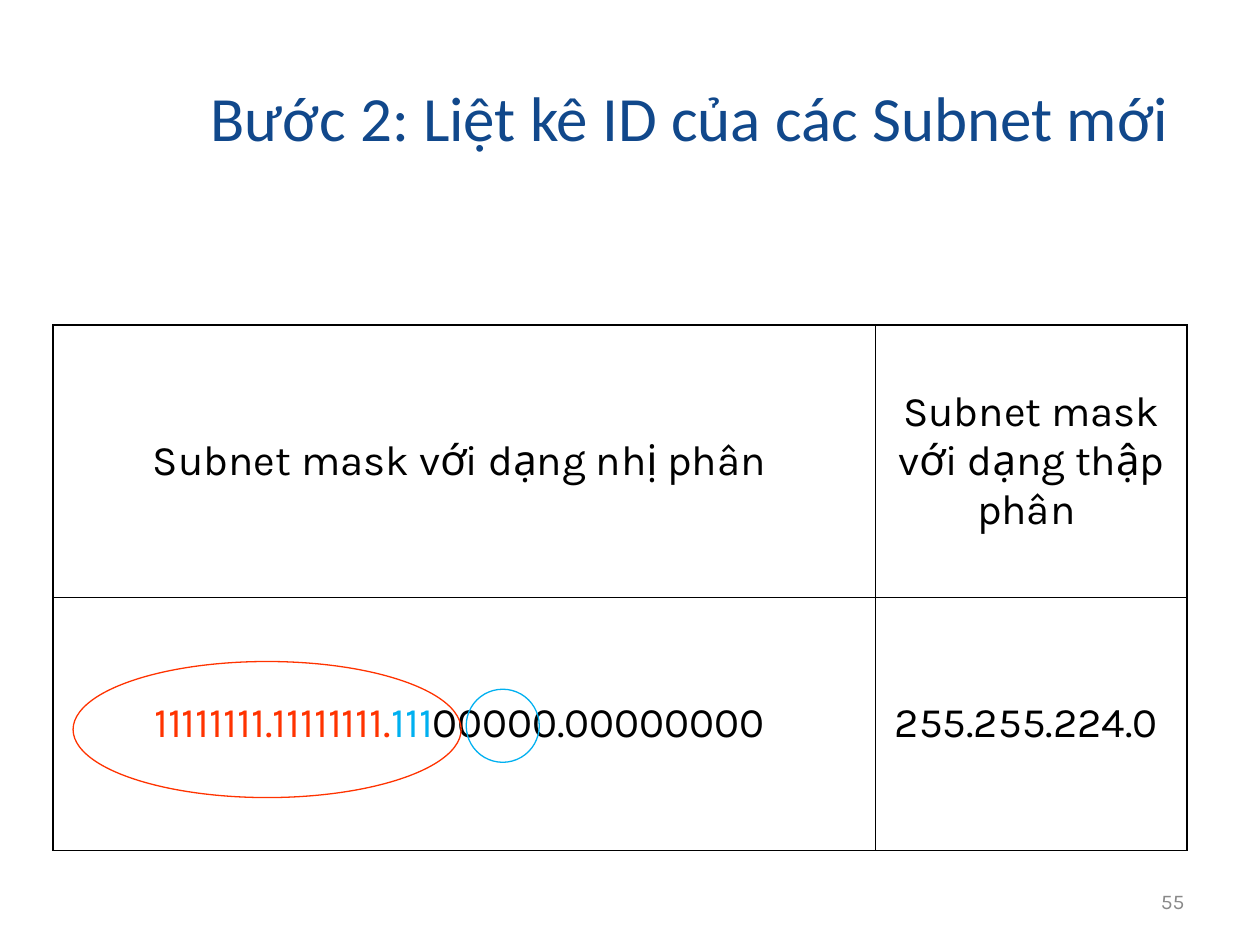
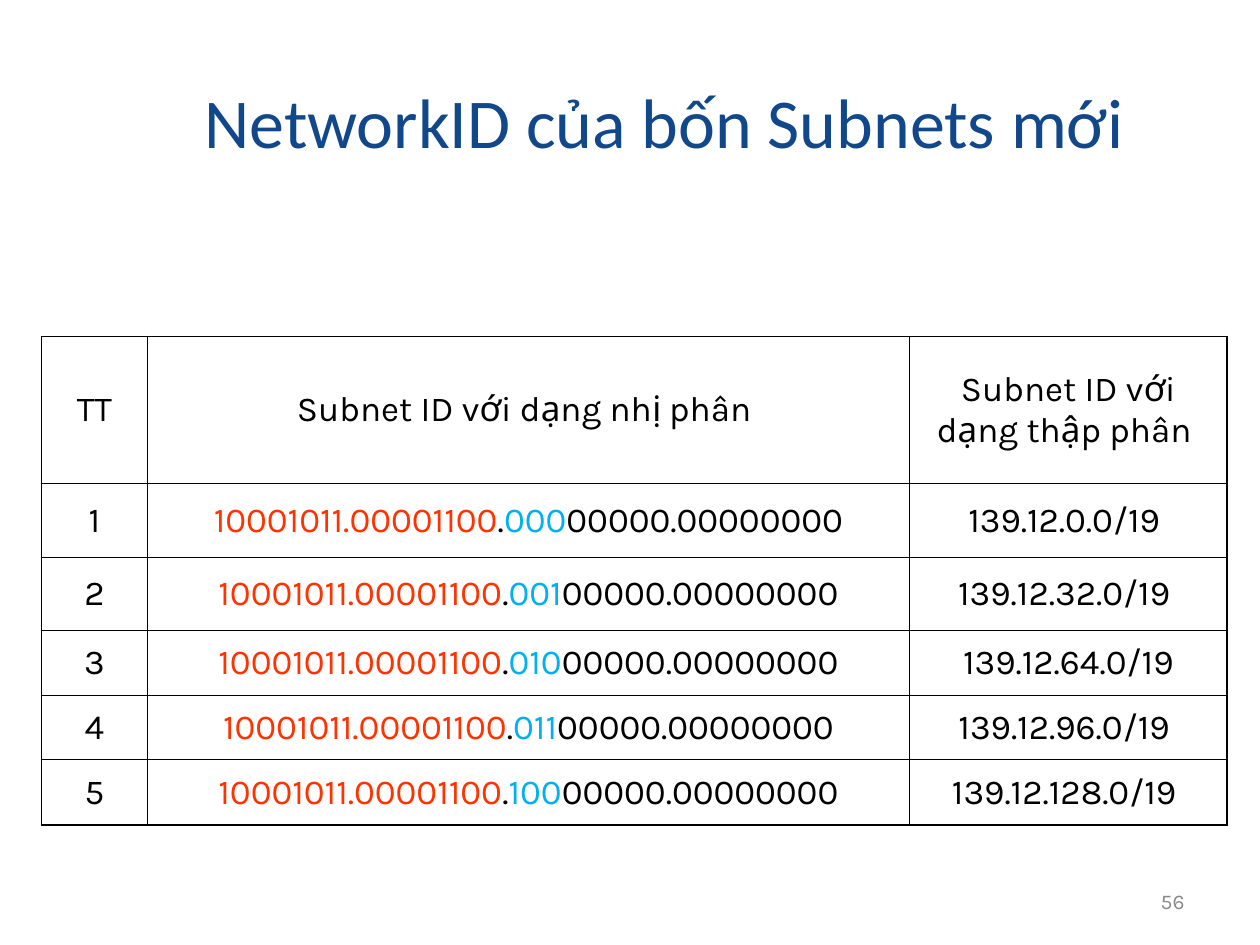
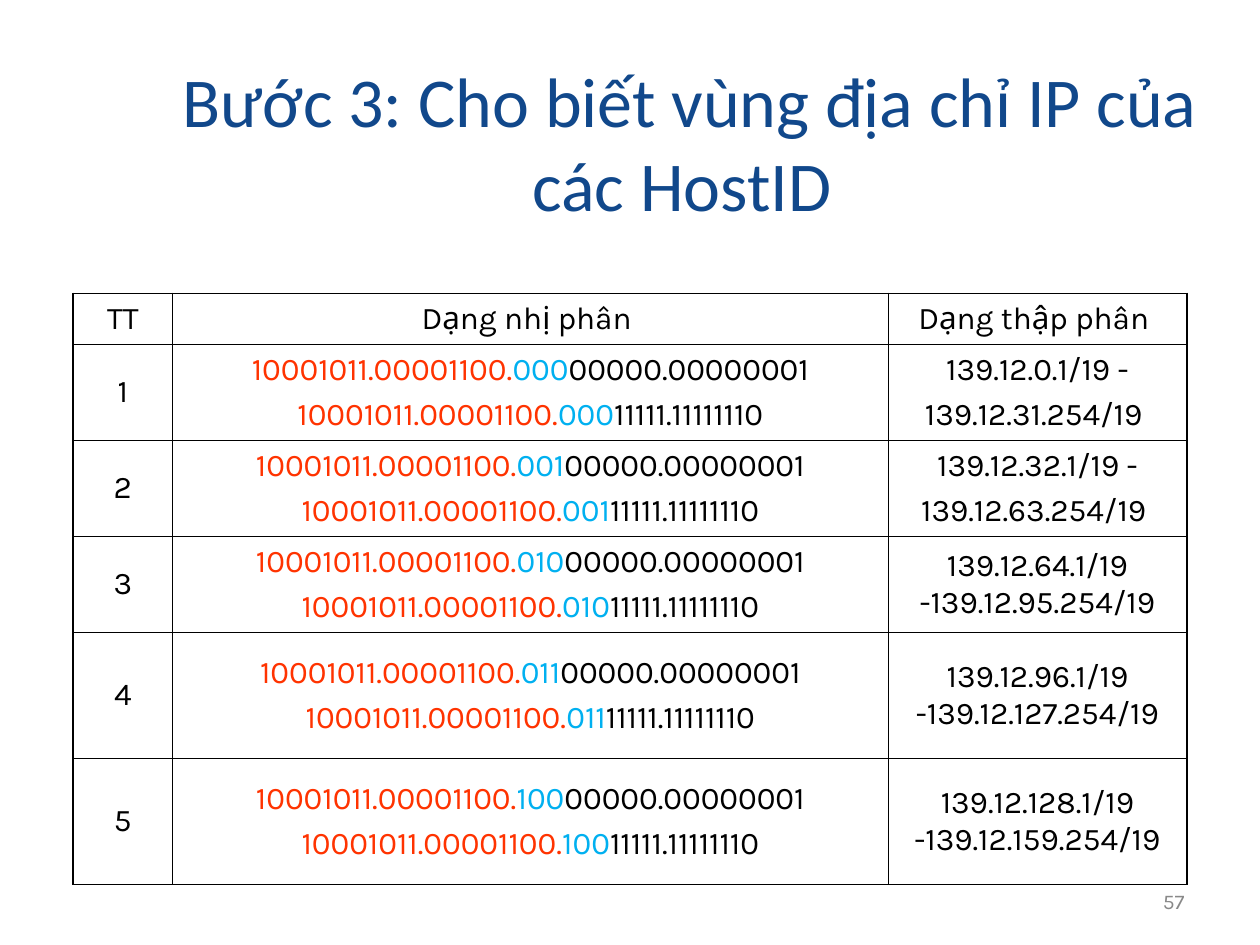
from lxml.etree import SubElement
from pptx import Presentation
from pptx.dml.color import RGBColor
from pptx.enum.shapes import MSO_SHAPE
from pptx.enum.text import MSO_ANCHOR, MSO_AUTO_SIZE, PP_ALIGN
from pptx.oxml.ns import qn
from pptx.util import Inches, Pt

COLORS = {
    "title": "11488B",
    "text": "000000",
    "network": "FF3300",
    "subnet": "00B0F0",
    "number": "898989",
}
TITLE_FONT = "Calibri"
BODY_FONT = "Karla"
OUTER, INNER = 1.08, 0.45


def rgb(name):
    return RGBColor.from_string(COLORS[name])


def write(tf, text, size, font=BODY_FONT, color="text", align=PP_ALIGN.CENTER, before=0):
    paragraphs = [text] if isinstance(text, str) else text
    for i, runs in enumerate(paragraphs):
        p = tf.paragraphs[0] if i == 0 else tf.add_paragraph()
        p.alignment = align
        p.space_before = Pt(before)
        for value, name in [(runs, color)] if isinstance(runs, str) else runs:
            r = p.add_run()
            r.text = value
            r.font.size = Pt(size)
            r.font.name = font
            r.font.color.rgb = rgb(name)


def binary(network, subnet, host, dot="network"):
    return [(network, "network"), (".", dot), (subnet, "subnet"), (host, "text")]


class Deck:
    def __init__(self):
        self.prs = Presentation()
        self.prs.slide_width = Inches(10)
        self.prs.slide_height = Inches(7.5)
        self.s = None

    def slide(self, title, number, top, width, height, size=40):
        self.s = self.prs.slides.add_slide(self.prs.slide_layouts[5])
        sp = self.s.shapes.title
        sp.left, sp.top = Inches(1.17), Inches(top)
        sp.width, sp.height = Inches(width), Inches(height)
        tf = sp.text_frame
        tf.auto_size = MSO_AUTO_SIZE.NONE
        tf.vertical_anchor = MSO_ANCHOR.MIDDLE
        write(tf, title, size, font=TITLE_FONT, color="title")
        self.page_number(number)

    def page_number(self, number):
        sp = self.s.shapes.add_textbox(Inches(7.17), Inches(6.95), Inches(2.33), Inches(0.4))
        tf = sp.text_frame
        tf.word_wrap = True
        tf.vertical_anchor = MSO_ANCHOR.MIDDLE
        write(tf, str(number), 12, color="number", align=PP_ALIGN.RIGHT)

    def border(self, cell, side, width):
        ln = SubElement(cell._tc.get_or_add_tcPr(), qn(f"a:ln{side}"), w=str(Pt(width)))
        fill = SubElement(ln, qn("a:solidFill"))
        SubElement(fill, qn("a:srgbClr"), val=COLORS["text"])

    def table(self, left, top, widths, heights, rows, size):
        frame = self.s.shapes.add_table(
            len(heights), len(widths), Inches(left), Inches(top),
            Inches(sum(widths)), Inches(sum(heights)))
        table = frame.table
        table.first_row = table.horz_banding = False
        for column, width in zip(table.columns, widths):
            column.width = Inches(width)
        for row, height in zip(table.rows, heights):
            row.height = Inches(height)
        for i, row in enumerate(rows):
            for j, text in enumerate(row):
                cell = table.cell(i, j)
                cell.vertical_anchor = MSO_ANCHOR.MIDDLE
                cell.margin_left = cell.margin_right = Inches(0.1)
                cell.margin_top = cell.margin_bottom = Inches(0.05)
                edges = {"L": j == 0, "R": j == len(widths) - 1,
                         "T": i == 0, "B": i == len(heights) - 1}
                for side, outer in edges.items():
                    self.border(cell, side, OUTER if outer else INNER)
                cell.fill.background()
                write(cell.text_frame, text, size, before=size / 4)

    def ring(self, left, top, width, height, color):
        sp = self.s.shapes.add_shape(
            MSO_SHAPE.OVAL, Inches(left), Inches(top), Inches(width), Inches(height))
        sp.shadow.inherit = False
        sp.fill.background()
        sp.line.color.rgb = rgb(color)
        sp.line.width = Pt(0.75)


def mask_slide(deck):
    deck.slide("Bước 2: Liệt kê ID của các Subnet mới", 55, 0.34, 8.61, 1.17, size=36)
    rows = [
        ["Subnet mask với dạng nhị phân ", "Subnet mask với dạng thập phân "],
        [[binary("11111111.11111111", "111", "00000.00000000 ")], "255.255.224.0 "],
    ]
    deck.table(0.42, 2.58, [6.53, 2.47], [2.16, 2.01], rows, 24)
    deck.ring(0.58, 5.25, 3.08, 1.08, "network")
    deck.ring(3.7, 5.47, 0.58, 0.58, "subnet")


def subnet_slide(deck, network, count):
    deck.slide("NetworkID của bốn Subnets mới ", 56, 0.33, 8.33, 1.25)
    rows = [["TT", "Subnet ID với dạng nhị phân ", "Subnet ID với dạng thập phân "]]
    for i in range(count):
        bits = binary(network, f"{i:03b}", "00000.00000000", dot="text")
        tail = "" if i == 2 else " "
        rows.append([str(i + 1), [bits], f"139.12.{32 * i}.0/19{tail}"])
    deck.table(0.33, 2.67, [0.84, 6.05, 2.52], [1.17, 0.58, 0.58, 0.52, 0.51, 0.52], rows, 20)


def host_slide(deck, network, count):
    deck.slide("Bước 3: Cho biết vùng địa chỉ IP của các HostID ", 57, 0.32, 8.61, 1.6)
    rows = [["TT", "Dạng nhị phân ", "Dạng thập phân "]]
    for i in range(count):
        bits = [binary(network, f"{i:03b}", host)
                for host in ("00000.00000001", "11111.11111110")]
        first = f"139.12.{32 * i}.1/19 -"
        last = f"139.12.{32 * i + 31}.254/19"
        rows.append([str(i + 1), bits, [first, last + " "] if i < 2 else first + last])
    deck.table(0.58, 2.33, [0.79, 5.68, 2.37], [0.4] + [0.76] * 3 + [1] * 2, rows, 18)


def main():
    deck = Deck()
    network = "10001011.00001100"
    mask_slide(deck)
    subnet_slide(deck, network, 5)
    host_slide(deck, network, 5)
    deck.prs.save("out.pptx")


if __name__ == "__main__":
    main()
